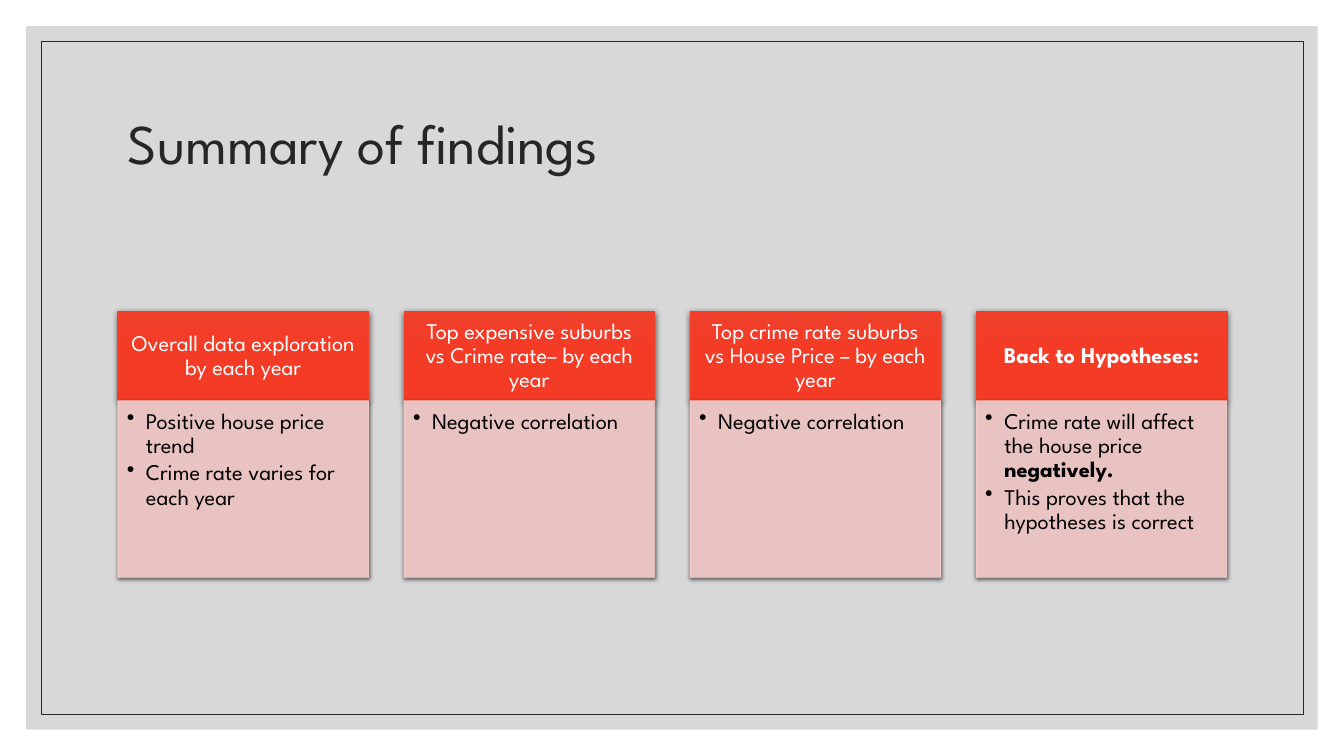
from lxml.etree import SubElement
from pptx import Presentation
from pptx.dml.color import RGBColor
from pptx.enum.shapes import MSO_SHAPE as SHAPE
from pptx.enum.text import MSO_ANCHOR as ANCHOR, PP_ALIGN as ALIGN
from pptx.oxml.ns import qn
from pptx.util import Cm, Pt

FONT = "League Spartan"
rgb = RGBColor.from_string


def add_xml(parent, tag, **attributes):
    return SubElement(parent, qn(tag), {k: str(v) for k, v in attributes.items()})


def add_box(left, top, width, height, line=None, shadow=None):
    box = slide.shapes.add_shape(SHAPE.RECTANGLE, Cm(left), Cm(top), Cm(width), Cm(height))
    box.shadow.inherit = False
    if line:
        box.line.color.rgb = rgb(line)
        box.line.width = Pt(0.5)
    else:
        box.line.fill.background()
    if shadow:
        blur, distance = shadow
        effects = box._element.spPr.find(qn("a:effectLst"))
        outer = add_xml(effects, "a:outerShdw", blurRad=Pt(blur), dist=Pt(distance),
                        dir=5400000, algn="ctr", rotWithShape=0)
        add_xml(add_xml(outer, "a:srgbClr", val="000000"), "a:alpha", val=63000)
    return box


prs = Presentation()
prs.slide_width, prs.slide_height = Cm(33.87), Cm(19.05)
slide = prs.slides.add_slide(prs.slide_layouts[6])

# Grey panel and thin frame
panel = add_box(0.66, 0.66, 32.55, 17.73)
panel.fill.solid()
panel.fill.fore_color.rgb = rgb("BFBFBF")
add_xml(panel._element.spPr.find(".//" + qn("a:srgbClr")), "a:alpha", val=60000)
frame = add_box(1.04, 1.04, 31.8, 16.97, line="262626")
frame.fill.background()

# Title
title = slide.shapes.add_textbox(Cm(2.97), Cm(1.78), Cm(27.94), Cm(3.81)).text_frame
title.word_wrap = True
title.vertical_anchor = ANCHOR.MIDDLE
heading = title.paragraphs[0]
heading.text = "Summary of findings"
heading.line_spacing = 0.9
heading.font.name, heading.font.size = FONT, Pt(40)
heading.font.color.rgb = rgb("262626")

# Findings: header and bullets, each bullet a list of (text, bold) parts
findings = [
    ("Overall data exploration by each year", False,
     [[("Positive house price trend", False)],
      [("Crime rate varies for each year", False)]]),
    ("Top expensive suburbs vs Crime rate– by each year", False,
     [[("Negative correlation", False)]]),
    ("Top crime rate suburbs vs House Price – by each year", False,
     [[("Negative correlation", False)]]),
    ("Back to Hypotheses:", True,
     [[("Crime rate will affect the house price ", False), ("negatively.", True)],
      [("This proves that the hypotheses is correct", False)]]),
]
CARD_LEFT, CARD_WIDTH, CARD_STEP = 2.97, 6.32, 7.21

for column, (topic, topic_bold, bullets) in enumerate(findings):
    left = CARD_LEFT + column * CARD_STEP

    # Red header
    header = add_box(left, 7.85, CARD_WIDTH, 2.25, line="F03F2B", shadow=(4.5, 1.5))
    header.fill.gradient()
    header.fill.gradient_angle = 270
    start, end = header.fill.gradient_stops
    start.color.rgb, end.color.rgb = rgb("F03F2B"), rgb("F43B26")
    end.position = 0.5
    frame_text = header.text_frame
    frame_text.word_wrap = True
    frame_text.vertical_anchor = ANCHOR.MIDDLE
    frame_text.margin_left = frame_text.margin_right = Cm(0.3)
    frame_text.margin_top = frame_text.margin_bottom = Cm(0.18)
    label = frame_text.paragraphs[0]
    label.text = topic
    label.alignment = ALIGN.CENTER
    label.line_spacing = 0.9
    label.font.name, label.font.size, label.font.bold = FONT, Pt(16), topic_bold
    label.font.color.rgb = rgb("FFFFFF")

    # Pink body
    body = add_box(left, 10.1, CARD_WIDTH, 4.45, line="F9CFCD", shadow=(3, 1))
    body.fill.solid()
    body.fill.fore_color.rgb = rgb("F9CFCD")
    for paint in ("a:solidFill", "a:ln/a:solidFill"):
        tags = "/".join(qn(tag) for tag in paint.split("/") + ["a:srgbClr"])
        add_xml(body._element.spPr.find(tags), "a:alpha", val=90000)
    body_text = body.text_frame
    body_text.word_wrap = True
    body_text.vertical_anchor = ANCHOR.TOP
    body_text.margin_left = body_text.margin_top = Cm(0.23)
    body_text.margin_right, body_text.margin_bottom = Cm(0.3), Cm(0.35)
    for number, parts in enumerate(bullets):
        point = body_text.add_paragraph() if number else body_text.paragraphs[0]
        point.alignment = ALIGN.LEFT
        point.line_spacing = 0.9
        point.space_after = Pt(2.4)
        point.font.name, point.font.size = FONT, Pt(16)
        point.font.color.rgb = rgb("000000")
        for words, bold in parts:
            run = point.add_run()
            run.text = words
            run.font.bold = bold
        settings = point._p.get_or_add_pPr()
        settings.set("marL", str(Cm(0.48)))
        settings.set("indent", str(-Cm(0.48)))
        bullet = add_xml(settings, "a:buChar", char="•")
        settings.find(qn("a:defRPr")).addprevious(bullet)

prs.save("out.pptx")
